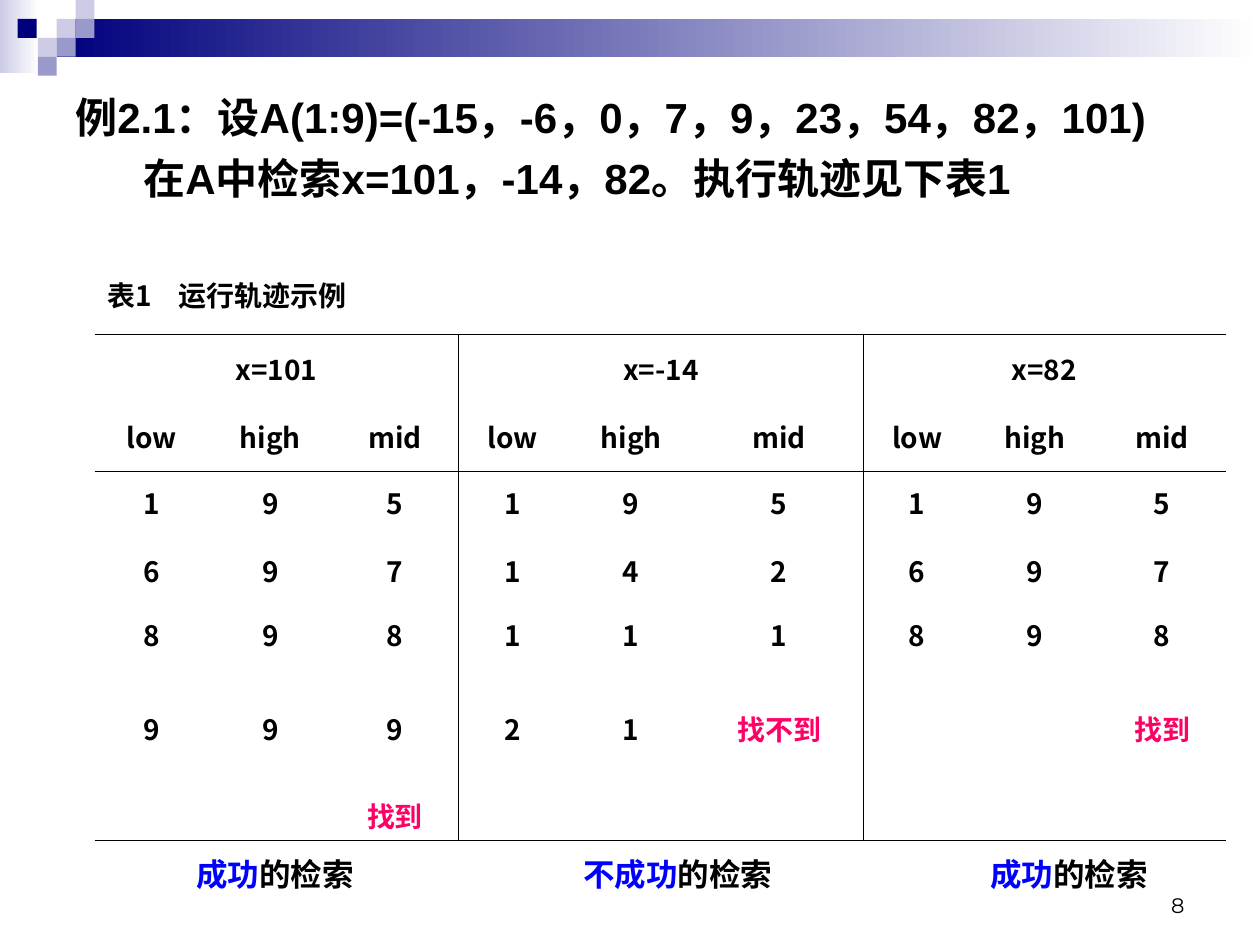
"""Builds the binary search trace slide."""
from dataclasses import dataclass

from lxml import etree
from pptx import Presentation
from pptx import util as u
from pptx.dml.color import RGBColor
from pptx.enum import shapes, text
from pptx.oxml import ns

BLACK, NAVY, LILAC, VIOLET = "000000", "00007D", "CCCCE6", "9999CC"
WHITE, BLUE, PINK = "FFFFFF", "0000FF", "FF0066"
HAN_FONT = "Noto Sans CJK SC"


@dataclass
class Block:
    left: float
    top: float
    width: float
    height: float
    color: str
    fade_to: str = ""


@dataclass
class Verdict:
    left: float
    width: float
    result: str


TILE = 0.15
BLOCKS = [
    Block(0, 0, 0.31, 0.58, LILAC, WHITE),
    Block(0.45, 0.15, 9.55, 0.3, NAVY, WHITE),
    *(Block(left, top, TILE, TILE, color) for left, top, color in [
        (0.45, 0.15, LILAC), (0.6, 0, LILAC), (0.6, 0.15, VIOLET), (0.3, 0.3, LILAC),
        (0.14, 0.15, NAVY), (0.45, 0.3, VIOLET), (0.3, 0.45, VIOLET)]),
]
VERDICTS = [Verdict(1.46, 1.57, "成功"), Verdict(4.53, 1.81, "不成功"), Verdict(7.76, 1.57, "成功")]
COLUMNS = [0.91, 0.97, 1.01, 0.86, 1.02, 1.33, 0.86, 1.01, 1.01]
ROWS = [0.63, 0.54, 0.55, 0.54, 0.54, 0.47, 1.02, 0.36]
TRACE = [
    ["表1\t运行轨迹示例"] + [""] * 8,
    ["x=101", "", "", "x=-14", "", "", "x=82", "", ""],
    ["low", "high", "mid"] * 3,
    ["1", "9", "5"] * 3,
    ["6", "9", "7", "1", "4", "2", "6", "9", "7"],
    ["8", "9", "8", "1", "1", "1", "8", "9", "8"],
    ["9", "9", "9", "2", "1", "找不到", "", "", "找到"],
    ["", "", "找到"] + [""] * 6,
]


def rgb(color: str) -> RGBColor:
    """Turn a hex string into a colour."""
    return RGBColor.from_string(color)


def add_span(para, words: str, *, size: float, font: str = "Arial", color: str = BLACK,
             bold: bool = True) -> None:
    """Append formatted text to a paragraph."""
    span = para.add_run()
    span.text = words
    span.font.size, span.font.name, span.font.bold = u.Pt(size), font, bold
    span.font.color.rgb = rgb(color)
    if font == HAN_FONT:
        etree.SubElement(span.font._element, ns.qn("a:ea"), typeface=font)


def add_block(page, block: Block) -> None:
    """Draw one plain or fading rectangle of the header."""
    box = page.shapes.add_shape(
        shapes.MSO_SHAPE.RECTANGLE, u.Inches(block.left), u.Inches(block.top),
        u.Inches(block.width), u.Inches(block.height))
    box.shadow.inherit = False
    box.line.fill.background()
    if not block.fade_to:
        box.fill.solid()
        box.fill.fore_color.rgb = rgb(block.color)
        return
    box.fill.gradient()
    box.fill.gradient_angle = 0
    for stop, color in zip(box.fill.gradient_stops, (block.color, block.fade_to)):
        stop.color.rgb = rgb(color)


def add_frame(page, left: float, top: float, width: float, height: float):
    """Add a wrapping text box and return its text frame."""
    box = page.shapes.add_textbox(
        u.Inches(left), u.Inches(top), u.Inches(width), u.Inches(height))
    box.text_frame.word_wrap = True
    return box.text_frame


def set_indent(para, margin: float, first: float) -> None:
    """Set the left margin and first line indent of a paragraph."""
    properties = para._p.get_or_add_pPr()
    properties.set("marL", str(u.Inches(margin)))
    properties.set("indent", str(u.Inches(first)))


def add_tab(para, position: float) -> None:
    """Give a paragraph one left tab stop."""
    stops = etree.SubElement(para._p.get_or_add_pPr(), ns.qn("a:tabLst"))
    etree.SubElement(stops, ns.qn("a:tab"), pos=str(u.Inches(position)), algn="l")


def set_borders(cell, drawn: dict[str, bool]) -> None:
    """Draw thin black lines on the chosen sides of a cell."""
    properties = cell._tc.get_or_add_tcPr()
    for side, visible in drawn.items():
        line = etree.SubElement(properties, ns.qn(f"a:ln{side}"), w=str(u.Pt(0.45)))
        fill = etree.SubElement(line, ns.qn("a:solidFill" if visible else "a:noFill"))
        if visible:
            etree.SubElement(fill, ns.qn("a:srgbClr"), val=BLACK)


def fill_cell(cell, words: str, row: int) -> None:
    """Write and format one cell of the trace table."""
    cell.vertical_anchor = text.MSO_ANCHOR.MIDDLE
    if not words:
        cell.margin_top = cell.margin_bottom = 0
        return
    para = cell.text_frame.paragraphs[0]
    if row:
        para.alignment = text.PP_ALIGN.CENTER
    if row > 2:
        para.line_spacing = 0.8
    if "\t" in words:
        add_tab(para, 0.57)
    add_span(para, words, size=16, font=HAN_FONT, color=PINK if "找" in words else BLACK)


def add_trace(page) -> None:
    """Add the table of search steps."""
    table = page.shapes.add_table(
        len(ROWS), len(COLUMNS), u.Inches(0.75), u.Inches(2.02),
        u.Inches(sum(COLUMNS)), u.Inches(sum(ROWS))).table
    table.first_row = table.horz_banding = False
    for column, width in zip(table.columns, COLUMNS):
        column.width = u.Inches(width)
    for row, height in zip(table.rows, ROWS):
        row.height = u.Inches(height)
    table.cell(0, 0).merge(table.cell(0, 8))
    for start in (0, 3, 6):
        table.cell(1, start).merge(table.cell(1, start + 2))
    for row, values in enumerate(TRACE):
        for column, words in enumerate(values):
            cell = table.cell(row, column)
            last = column + cell.span_width - 1 if cell.is_merge_origin else column
            set_borders(cell, {"L": row > 0 and column in (3, 6),
                               "R": row > 0 and last in (2, 5),
                               "T": row in (1, 3), "B": row in (0, 2, 7)})
            cell.fill.background()
            fill_cell(cell, words, row)


def add_problem(page) -> None:
    """Add the statement of the example."""
    frame = add_frame(page, 0.5, 0.68, 9.23, 1.57)
    para = frame.paragraphs[0]
    set_indent(para, 0.38, -0.38)
    add_span(para, "例2.1：设A(1:9)=(-15，-6，0，7，9，23，54，82，101)", size=24)
    para = frame.add_paragraph()
    set_indent(para, 0.54, 0)
    para.space_before = u.Pt(6)
    add_span(para, "在A中检索x=101，-14，82。执行轨迹见下表1", size=24)


def add_verdict(page, verdict: Verdict) -> None:
    """Add the outcome below one search."""
    para = add_frame(page, verdict.left, 6.74, verdict.width, 0.4).paragraphs[0]
    add_span(para, verdict.result, size=18, color=BLUE)
    add_span(para, "的检索", size=18)


def add_page_number(page) -> None:
    """Add the page number at the lower right."""
    frame = add_frame(page, 7.17, 6.83, 2.33, 0.5)
    frame.vertical_anchor = text.MSO_ANCHOR.BOTTOM
    frame.paragraphs[0].alignment = text.PP_ALIGN.RIGHT
    add_span(frame.paragraphs[0], "8", size=12, font="Montserrat", bold=False)


def main() -> None:
    """Build and save the slide."""
    deck = Presentation()
    deck.slide_width, deck.slide_height = u.Inches(10), u.Inches(7.5)
    page = deck.slides.add_slide(deck.slide_layouts[6])
    for block in BLOCKS:
        add_block(page, block)
    add_page_number(page)
    add_problem(page)
    add_trace(page)
    for verdict in VERDICTS:
        add_verdict(page, verdict)
    deck.save("out.pptx")


if __name__ == "__main__":
    main()
